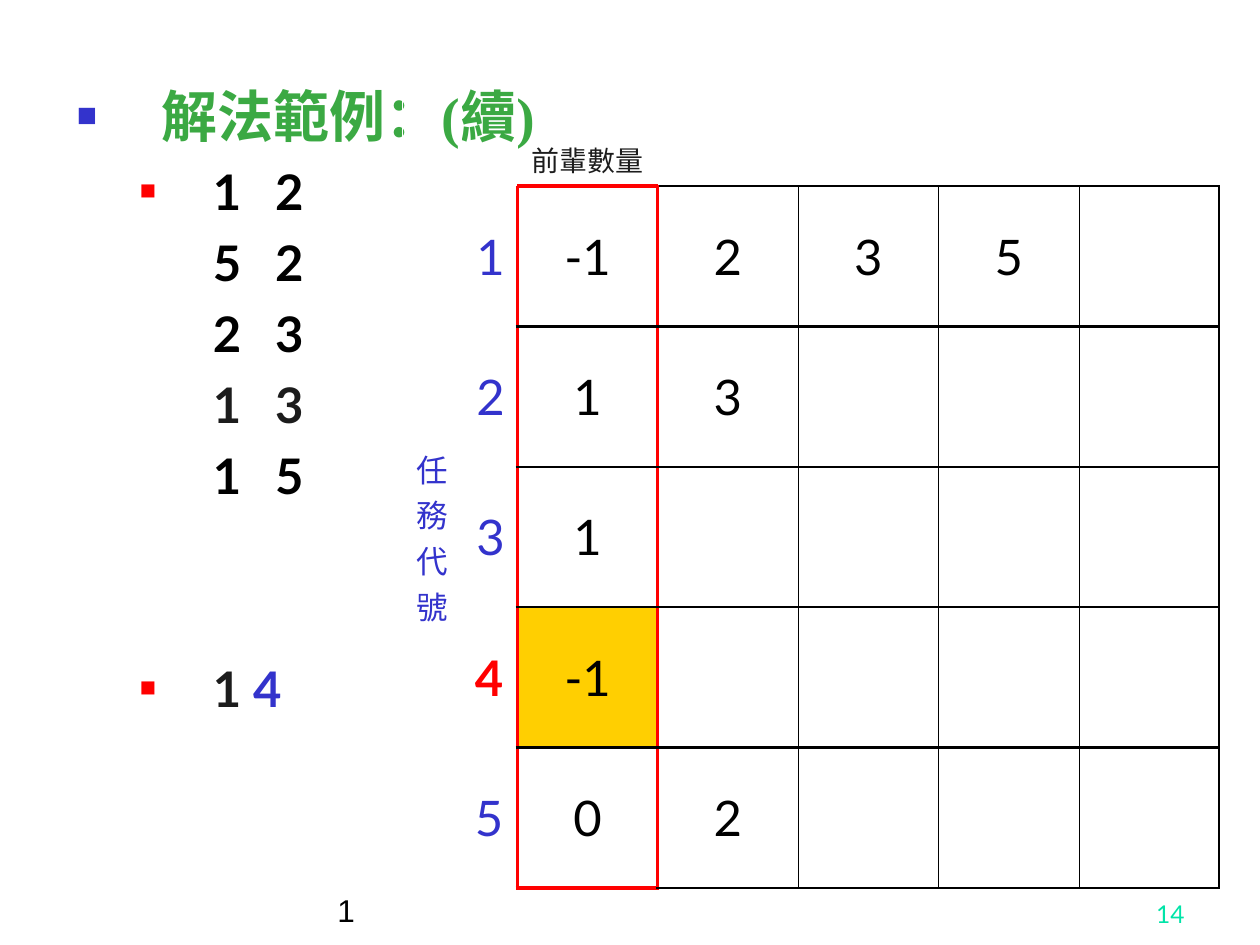
from lxml import etree
from pptx import Presentation
from pptx import util as u
from pptx.dml.color import RGBColor
from pptx.enum import text
from pptx.oxml import ns

BLACK, DARK, BLUE, RED, WHITE = "000000", "1C1C1C", "3333CC", "FF0000", "FFFFFF"


def style(run, size, color, bold=False, font="Lato"):
    run.font.name = font
    run.font.size = u.Pt(size)
    run.font.bold = bold
    run.font.color.rgb = RGBColor.from_string(color)


def add_element(parent, tag, **attributes):
    return etree.SubElement(parent, ns.qn(tag), attributes)


presentation = Presentation()
presentation.slide_width, presentation.slide_height = u.Cm(25.4), u.Cm(19.05)
slide = presentation.slides.add_slide(presentation.slide_layouts[6])

# Outline: heading, given pairs, and the new pair
outline = slide.shapes.add_textbox(u.Cm(1.3), u.Cm(1.52), u.Cm(22.8), u.Cm(16.2))
outline.text_frame.word_wrap = True
heading = outline.text_frame.paragraphs[0]
heading.text = "解法範例：(續)"
style(heading.runs[0], 32, "3BA943", True, "Times New Roman")

# first number, second number, their colours, space before, widening of the gap
pairs = [
    ("1", "2", BLACK, BLACK, 7, 12.6),
    ("5", "2", BLACK, BLACK, 7, 12.6),
    ("2", "3", BLACK, BLACK, 7, 12.6),
    ("1", "3", DARK, DARK, 7, 12.6),
    ("1", "5", BLACK, BLACK, 7, 12.6),
    ("1", "4", DARK, BLUE, 88, 0),
]
for first, second, first_color, second_color, space_before, gap in pairs:
    paragraph = outline.text_frame.add_paragraph()
    paragraph.level = 1
    paragraph.space_before = u.Pt(space_before)
    for content, color in ((first, first_color), (" ", first_color), (second, second_color)):
        run = paragraph.add_run()
        run.text = content
        style(run, 28, color, True)
    if gap:
        paragraph.runs[1].font._element.set("spc", str(round(gap * 100)))

bulleted = {0: (BLUE, 60), 1: (RED, 55), 6: (RED, 55)}
for index, paragraph in enumerate(outline.text_frame.paragraphs):
    margin, hanging = (1.7, 1.7) if index == 0 else (2.74, 1.47)
    properties = paragraph._p.get_or_add_pPr()
    properties.set("marL", str(u.Cm(margin)))
    properties.set("indent", str(-u.Cm(hanging) if index in bulleted else 0))
    if index in bulleted:
        color, percent = bulleted[index]
        add_element(add_element(properties, "a:buClr"), "a:srgbClr", val=color)
        add_element(properties, "a:buSzPct", val=str(percent * 1000))
        add_element(properties, "a:buFont", typeface="Arial")
        add_element(properties, "a:buChar", char="■")
    else:
        add_element(properties, "a:buNone")

# Table: task number, count of seniors, then the tasks that follow
ROWS, COLUMNS, COUNT = 6, 7, 2
STEP = 2.83
table = slide.shapes.add_table(ROWS, COLUMNS, u.Cm(8.1), u.Cm(0.92),
                               u.Cm(2.33 + 5 * STEP), u.Cm(ROWS * STEP)).table
table.first_row = table.horz_banding = False
for column, width in zip(table.columns, [1.19, 1.14] + [STEP] * 5):
    column.width = u.Cm(width)
for row in table.rows:
    row.height = u.Cm(STEP)

values = [
    ["", "", "前輩數量"],
    ["任務代號", "1", "-1", "2", "3", "5"],
    ["", "2", "1", "3"],
    ["", "3", "1"],
    ["", "4", "-1"],
    ["", "5", "0", "2"],
]
HIDDEN = (WHITE, 0.34)
FRAME = (RED, 2.21)
vertical_lines = [HIDDEN, HIDDEN, FRAME, FRAME] + [(BLACK, 0.45)] * 3 + [(BLACK, 1.08)]
horizontal_lines = [HIDDEN, (BLACK, 1.08)] + [(BLACK, 1.47)] * 4 + [(BLACK, 1.08)]

for row in range(ROWS):
    for column in range(COLUMNS):
        cell = table.cell(row, column)
        cell.vertical_anchor = text.MSO_ANCHOR.MIDDLE if row else text.MSO_ANCHOR.BOTTOM

        left, right = vertical_lines[column:column + 2] if row else (HIDDEN, HIDDEN)
        top, bottom = horizontal_lines[row:row + 2] if column >= COUNT else (HIDDEN, HIDDEN)
        if column == COUNT:
            top = FRAME if row == 1 else top
            bottom = FRAME if row in (0, ROWS - 1) else bottom
        cell_properties = cell._tc.get_or_add_tcPr()
        for side, (color, width) in zip("LRTB", (left, right, top, bottom)):
            line = add_element(cell_properties, f"a:ln{side}", w=str(u.Pt(width)))
            add_element(add_element(line, "a:solidFill"), "a:srgbClr", val=color)

        if (row, column) == (4, COUNT):
            cell.fill.solid()
            cell.fill.fore_color.rgb = RGBColor.from_string("FFCF01")
        else:
            cell.fill.background()

        if column >= len(values[row]) or not values[row][column]:
            continue
        paragraph = cell.text_frame.paragraphs[0]
        paragraph.text = values[row][column]
        is_label = column < COUNT
        paragraph.alignment = text.PP_ALIGN.RIGHT if is_label and row < 4 else text.PP_ALIGN.CENTER
        if row == 0:
            size, color = 16, DARK
        else:
            size, color = 18 if column == 0 else 28, BLUE if is_label else BLACK
        highlighted = (row, column) == (4, 1)
        style(paragraph.runs[0], size, RED if highlighted else color, highlighted)

table.cell(0, 4).merge(table.cell(0, 6))
table.cell(1, 0).merge(table.cell(5, 0))

# Footer and slide number
footers = [
    ("1", 6.55, 13.77, text.PP_ALIGN.LEFT, 18, BLACK, "Arial"),
    ("14", 18.85, 5.28, text.PP_ALIGN.RIGHT, 14, "00E4A8", "Lato"),
]
for content, left, width, alignment, size, color, font in footers:
    footer = slide.shapes.add_textbox(u.Cm(left), u.Cm(17.58), u.Cm(width), u.Cm(1.27))
    footer.text_frame.word_wrap = True
    footer.text_frame.vertical_anchor = text.MSO_ANCHOR.BOTTOM
    paragraph = footer.text_frame.paragraphs[0]
    paragraph.text = content
    paragraph.alignment = alignment
    style(paragraph.runs[0], size, color, font=font)

presentation.save("out.pptx")
